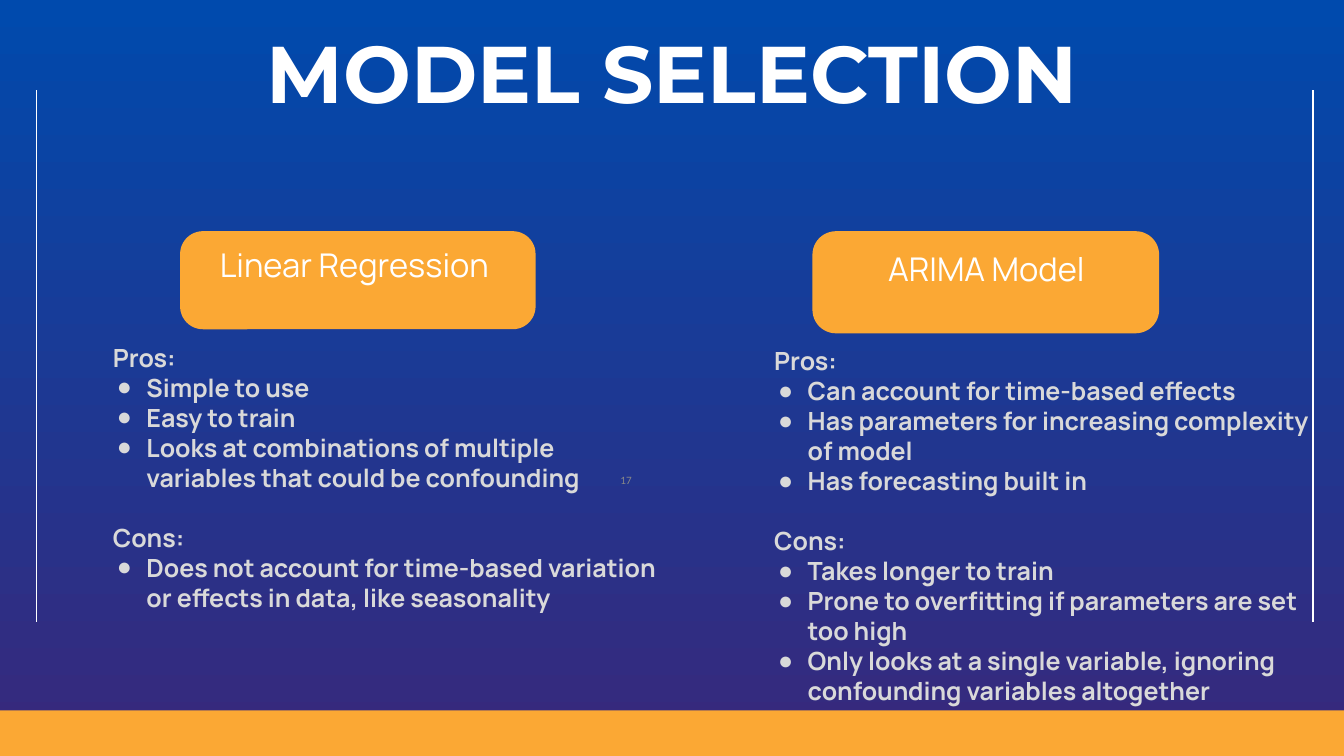
import pptx
import pptx.util
import pptx.dml.color
import pptx.enum.shapes
import pptx.enum.text
import pptx.oxml
import pptx.oxml.ns

SCALE = 9144  # EMU per px, 100 px to the inch
COLORS = {
    "sky": "004AAD",
    "violet": "38287B",
    "orange": "FBA834",
    "white": "FFFFFF",
    "body": "D9D9D9",
    "number": "888888",
}
ALIGN = pptx.enum.text.PP_ALIGN
ANCHOR = pptx.enum.text.MSO_ANCHOR
SHAPE = pptx.enum.shapes.MSO_SHAPE


def px(length):
    return pptx.util.Emu(length * SCALE)


def rgb(name):
    return pptx.dml.color.RGBColor.from_string(COLORS[name])


def add_xml(parent, tag, **attributes):
    child = pptx.oxml.parse_xml(f"<a:{tag} {pptx.oxml.ns.nsdecls('a')}/>")
    for name, value in attributes.items():
        child.set(name, value)
    parent.append(child)
    return child


class SlideBuilder:
    body_size = 26.8
    body_pitch = 32.14
    bullet_indent = 50
    bullet_hang = 44

    def __init__(self, page):
        self.page = page

    def background(self, top, bottom):
        fill = self.page.background.fill
        fill.gradient()
        fill.gradient_angle = 270
        for stop, color in zip(fill.gradient_stops, (top, bottom)):
            stop.color.rgb = rgb(color)

    def paint(self, shape, color):
        shape.shadow.inherit = False
        shape.fill.solid()
        shape.fill.fore_color.rgb = rgb(color)
        shape.line.fill.background()

    def outline(self, points, color):
        builder = self.page.shapes.build_freeform(*points[0], scale=SCALE)
        builder.add_line_segments(points[1:], close=True)
        self.paint(builder.convert_to_shape(), color)

    def card(self, left, top, width, height, radius):
        card = self.page.shapes.add_shape(
            SHAPE.ROUNDED_RECTANGLE, px(left), px(top), px(width), px(height))
        card.adjustments[0] = radius / height
        self.paint(card, "orange")

    def rule(self, x, top, bottom):
        rule = self.page.shapes.add_connector(
            pptx.enum.shapes.MSO_CONNECTOR.STRAIGHT, px(x), px(bottom), px(x), px(top))
        rule.line.color.rgb = rgb("white")
        rule.line.width = pptx.util.Pt(1.5)
        add_xml(rule._element.spPr, "effectLst")

    def frame(self, box, anchor=ANCHOR.TOP, inset=(0, 0)):
        frame = box.text_frame
        frame.word_wrap = True
        frame.auto_size = pptx.enum.text.MSO_AUTO_SIZE.NONE
        frame.vertical_anchor = anchor
        frame.margin_left = frame.margin_right = px(inset[0])
        frame.margin_top = frame.margin_bottom = px(inset[1])
        return frame

    def style(self, paragraph, size, font, color, bold=False):
        for span in paragraph.runs:
            span.font.size = pptx.util.Pt(size)
            span.font.name = font
            span.font.bold = bold
            span.font.color.rgb = rgb(color)

    def title(self, text, left, top, width, height):
        box = self.page.shapes.title
        box.left, box.top, box.width, box.height = map(px, (left, top, width, height))
        frame = self.frame(box)
        frame.text = text
        frame.paragraphs[0].alignment = ALIGN.CENTER
        self.style(frame.paragraphs[0], 86.1, "Montserrat", "white", True)

    def text_box(self, left, top, width, height, **options):
        box = self.page.shapes.add_textbox(px(left), px(top), px(width), px(height))
        return self.frame(box, **options)

    def label(self, text, left, top, width, height):
        frame = self.text_box(left, top, width, height)
        frame.text = text
        paragraph = frame.paragraphs[0]
        paragraph.alignment = ALIGN.CENTER
        paragraph.line_spacing = pptx.util.Pt(42)
        self.style(paragraph, 35, "Manrope", "white")

    def number(self, text, left, top, width, height):
        frame = self.text_box(left, top, width, height, anchor=ANCHOR.MIDDLE, inset=(10, 5))
        frame.text = text
        frame.paragraphs[0].alignment = ALIGN.RIGHT
        self.style(frame.paragraphs[0], 12, "Calibri", "number")

    def bullet(self, paragraph):
        properties = paragraph._p.get_or_add_pPr()
        properties.set("marL", str(px(self.bullet_indent)))
        properties.set("indent", str(-px(self.bullet_hang)))
        add_xml(add_xml(properties, "buClr"), "srgbClr", val=COLORS["body"])
        add_xml(properties, "buFont", typeface="Arial")
        add_xml(properties, "buChar", char="●")

    def arguments(self, sections, left, top, width, height):
        frame = self.text_box(left, top, width, height)
        lines = [line for heading, points in sections.items() for line in (heading, *points)]
        frame.text = "\n".join(lines)
        for index, paragraph in enumerate(frame.paragraphs):
            paragraph.line_spacing = pptx.util.Pt(self.body_pitch)
            if paragraph.text not in sections:
                self.bullet(paragraph)
            elif index:
                paragraph.space_before = pptx.util.Pt(self.body_pitch)
            self.style(paragraph, self.body_size, "Manrope", "body", True)


def main():
    deck = pptx.Presentation()
    deck.slide_width, deck.slide_height = px(2000), px(1125)
    slide = SlideBuilder(deck.slides.add_slide(deck.slide_layouts[5]))

    # Backdrop: gradient, bottom band and side rules
    slide.background("sky", "violet")
    slide.outline([(2026, 1057), (-215, 1057), (-5, 1125), (2235, 1125)], "orange")
    for x in (1954, 54):
        slide.rule(x, 134, 925)

    slide.title("MODEL SELECTION", 353, 35, 1294, 145)

    # Linear regression
    slide.card(268, 344, 529, 146, 34)
    slide.label("Linear Regression", 307, 365, 441, 59)
    slide.arguments({
        "Pros:": [
            "Simple to use",
            "Easy to train",
            "Looks at combinations of multiple variables that could be confounding",
        ],
        "Cons:": [
            "Does not account for time-based variation or effects in data, like seasonality",
        ],
    }, 168, 509, 811, 451)

    # ARIMA
    slide.card(1209, 344, 516, 152, 35)
    slide.label("ARIMA Model", 1211, 371, 514, 59)
    slide.arguments({
        "Pros:": [
            "Can account for time-based effects",
            "Has parameters for increasing complexity of model",
            "Has forecasting built in",
        ],
        "Cons:": [
            "Takes longer to train",
            "Prone to overfitting if parameters are set too high",
            "Only looks at a single variable, ignoring confounding variables altogether",
        ],
    }, 1152, 514, 819, 541)

    # Page number
    slide.number("17", 717, 695, 233, 40)

    deck.save("out.pptx")


if __name__ == "__main__":
    main()
